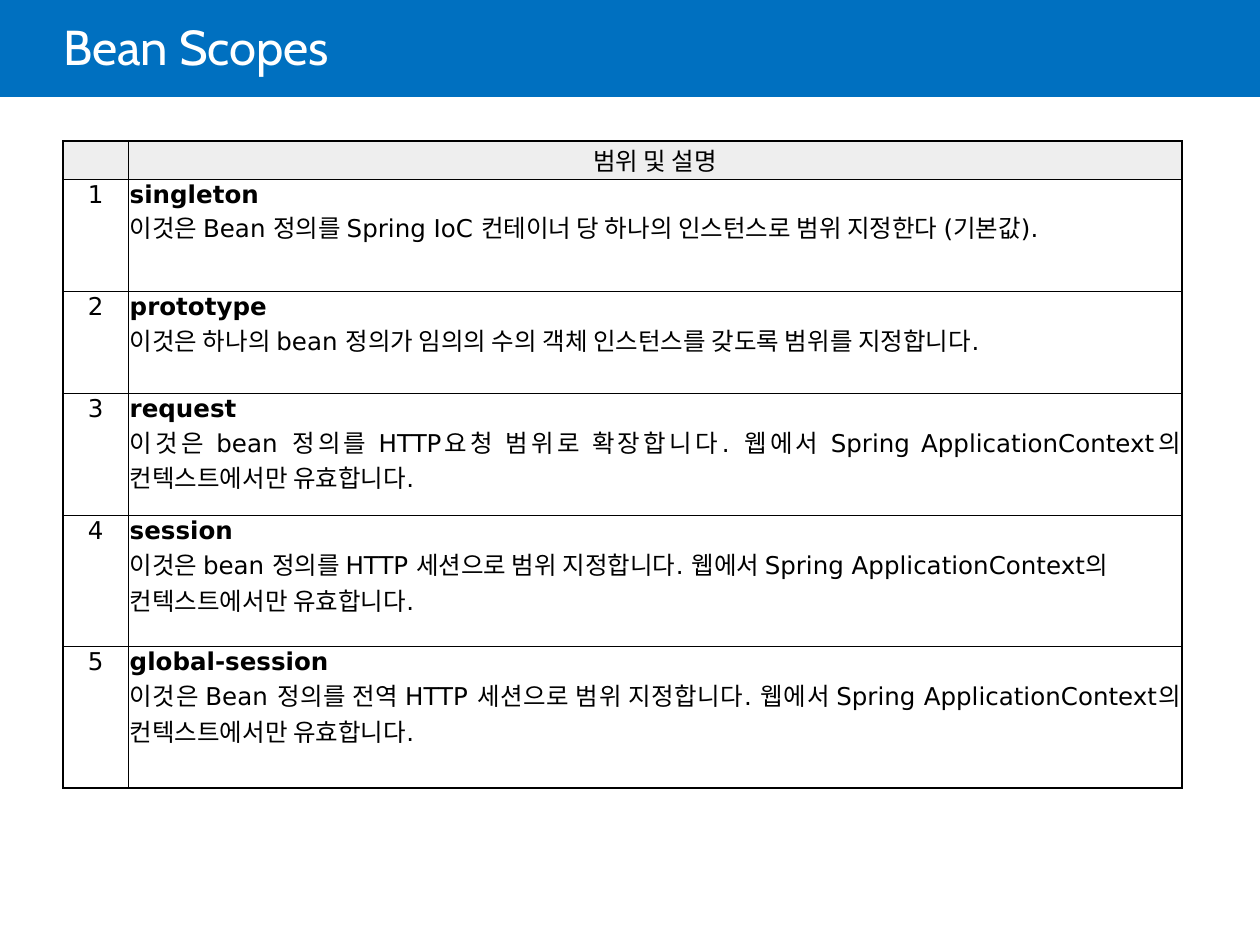
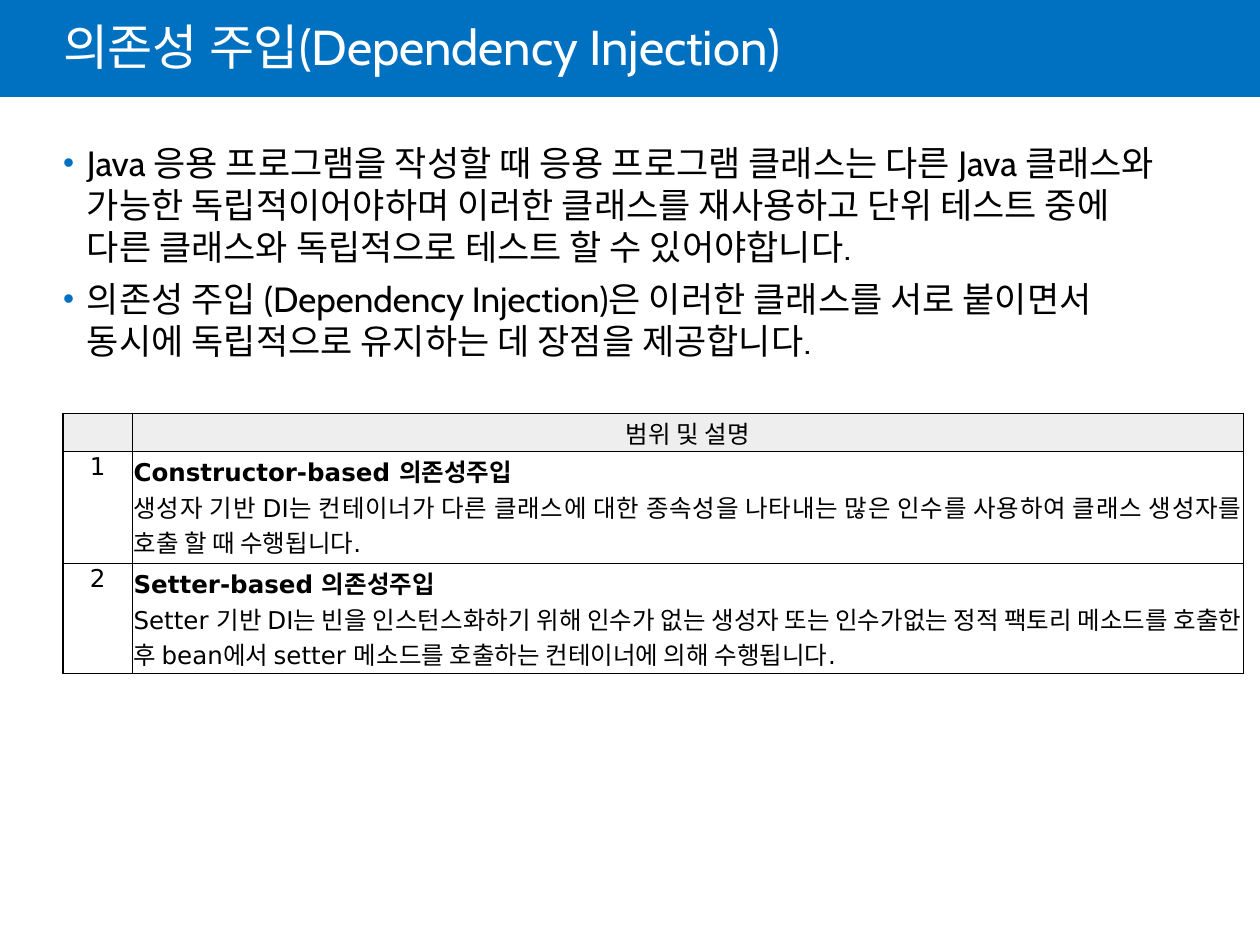
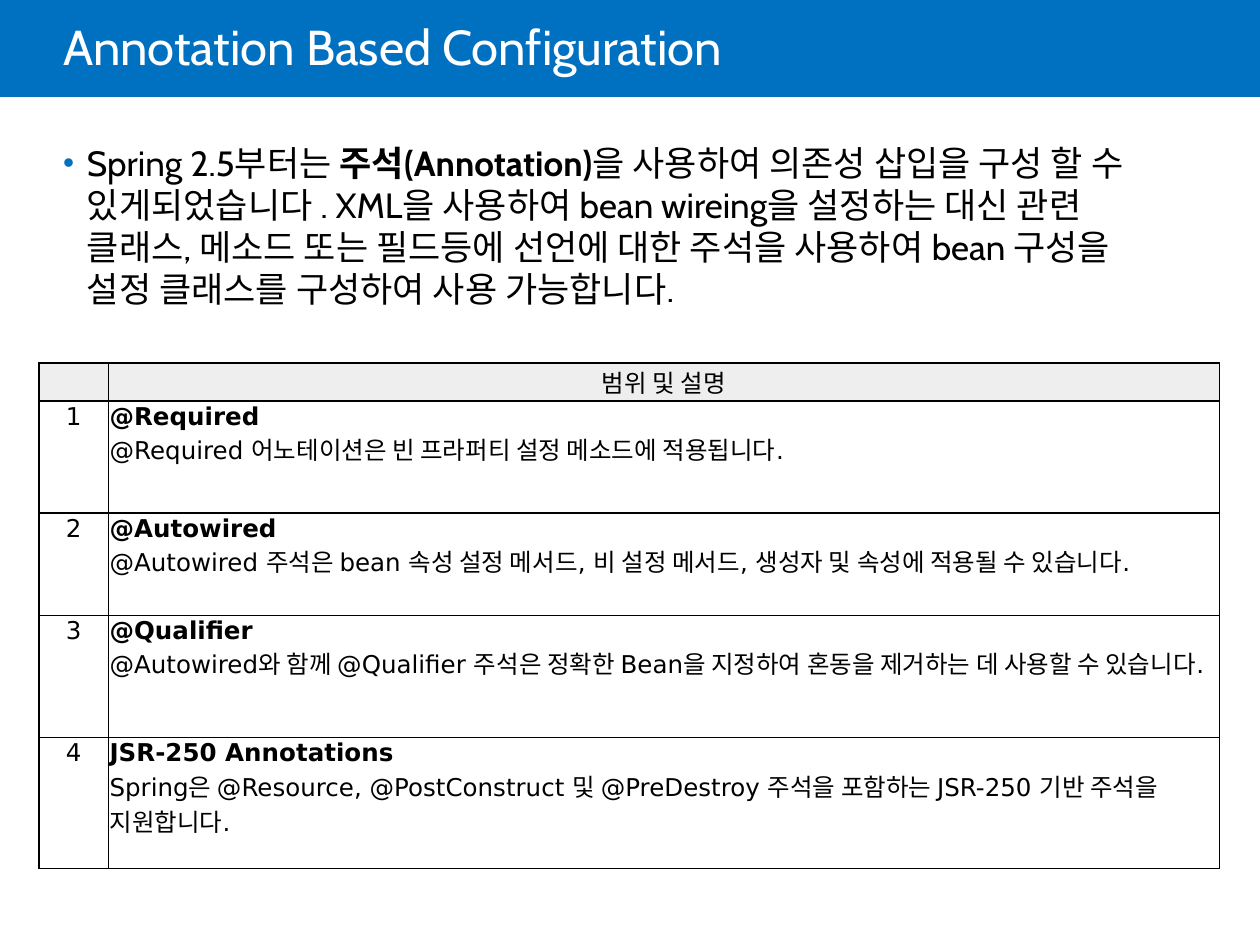
import pptx
import pptx.util
import pptx.dml.color
import pptx.enum.shapes
import pptx.enum.text
import pptx.oxml
import pptx.oxml.ns
from lxml import etree

Inches, Pt = pptx.util.Inches, pptx.util.Pt
RGBColor = pptx.dml.color.RGBColor
ALIGN = pptx.enum.text.PP_ALIGN
ANCHOR = pptx.enum.text.MSO_ANCHOR
qn = pptx.oxml.ns.qn

BLUE = RGBColor(0x00, 0x70, 0xC0)
WHITE = RGBColor(0xFF, 0xFF, 0xFF)
BLACK = RGBColor(0x00, 0x00, 0x00)
HEADER_GRAY = RGBColor(0xEE, 0xEE, 0xEE)
TITLE_FONT, TABLE_FONT = "Cabin", "DejaVu Sans"
HEADER = "범위 및 설명"
HEADER_HEIGHT = 0.3
J, L = ALIGN.JUSTIFY, ALIGN.LEFT

# Each bullet is a list of (text, bold) runs; each row is name, description, alignment, height.
SLIDES = [
    dict(title="Bean Scopes", bullets=[], left=0.5, top=1.12, cols=(0.52, 8.36), rows=[
        ("singleton", "이것은 Bean 정의를 Spring IoC 컨테이너 당 하나의 인스턴스로 범위 지정한다 (기본값).", J, 0.89),
        ("prototype", "이것은 하나의 bean 정의가 임의의 수의 객체 인스턴스를 갖도록 범위를 지정합니다.", J, 0.81),
        ("request", "이것은 bean 정의를 HTTP요청 범위로 확장합니다. 웹에서 Spring ApplicationContext의 "
                    "컨텍스트에서만 유효합니다.", J, 0.97),
        ("session", "이것은 bean 정의를 HTTP 세션으로 범위 지정합니다. 웹에서 Spring ApplicationContext의 "
                    "컨텍스트에서만 유효합니다.", L, 1.04),
        ("global-session", "이것은 Bean 정의를 전역 HTTP 세션으로 범위 지정합니다. 웹에서 Spring "
                           "ApplicationContext의 컨텍스트에서만 유효합니다.", J, 1.12),
    ]),
    dict(title="의존성 주입(Dependency Injection)", bullets=[
        [("Java 응용 프로그램을 작성할 때 응용 프로그램 클래스는 다른 Java 클래스와 가능한 "
          "독립적이어야하며 이러한 클래스를 재사용하고 단위 테스트 중에 다른 클래스와 독립적으로 "
          "테스트 할 수 있어야합니다. ", False)],
        [("의존성 주입 (Dependency Injection)은 이러한 클래스를 서로 붙이면서 동시에 독립적으로 "
          "유지하는 데 장점을 제공합니다.", False)],
    ], left=0.5, top=3.28, cols=(0.55, 8.82), rows=[
        ("Constructor-based 의존성주입", "생성자 기반 DI는 컨테이너가 다른 클래스에 대한 종속성을 나타내는 "
         "많은 인수를 사용하여 클래스 생성자를 호출 할 때 수행됩니다.", J, 0.89),
        ("Setter-based 의존성주입", "Setter 기반 DI는 빈을 인스턴스화하기 위해 인수가 없는 생성자 또는 "
         "인수가없는 정적 팩토리 메소드를 호출한 후 bean에서 setter 메소드를 호출하는 컨테이너에 의해 "
         "수행됩니다.", J, 0.81),
    ]),
    dict(title="Annotation Based Configuration", bullets=[
        [("Spring 2.5부터는 ", False), ("주석(Annotation)", True),
         ("을 사용하여 의존성 삽입을 구성 할 수 있게되었습니다 . XML을 사용하여 bean wireing을 "
          "설정하는 대신 관련 클래스, 메소드 또는 필드등에 선언에 대한 주석을 사용하여 bean 구성을 "
          "설정 클래스를 구성하여 사용 가능합니다.", False)],
    ], left=0.31, top=2.88, cols=(0.55, 8.82), rows=[
        ("@Required", "@Required 어노테이션은 빈 프라퍼티 설정 메소드에 적용됩니다.", J, 0.89),
        ("@Autowired", "@Autowired 주석은 bean 속성 설정 메서드, 비 설정 메서드, 생성자 및 속성에 "
                       "적용될 수 있습니다.", J, 0.81),
        ("@Qualifier", "@Autowired와 함께 @Qualifier 주석은 정확한 Bean을 지정하여 혼동을 제거하는 데 "
                       "사용할 수 있습니다.", J, 0.97),
        ("JSR-250 Annotations", "Spring은 @Resource, @PostConstruct 및 @PreDestroy 주석을 포함하는 "
                                "JSR-250 기반 주석을 지원합니다.", L, 1.04),
    ]),
]


def add_text(p, text, font=TABLE_FONT, size=14, color=BLACK, bold=False, align=L):
    """Add a formatted run, with pair kerning off."""
    p.alignment = align
    r = p.add_run()
    r.text = text
    r.font.name, r.font.size, r.font.bold = font, Pt(size), bold
    r.font.color.rgb = color
    r._r.get_or_add_rPr().set("kern", "0")


def format_cell(cell, fill=None):
    """Set thin margins, the fill and a black 1 pt border on all sides."""
    cell.margin_left = cell.margin_right = cell.margin_top = cell.margin_bottom = Inches(0.01)
    tcPr = cell._tc.get_or_add_tcPr()
    for side in ("a:lnL", "a:lnR", "a:lnT", "a:lnB"):
        ln = etree.SubElement(tcPr, qn(side), w=str(Pt(1)))
        solid = etree.SubElement(ln, qn("a:solidFill"))
        etree.SubElement(solid, qn("a:srgbClr"), val=str(BLACK))
    if fill is None:
        cell.fill.background()
    else:
        cell.fill.solid()
        cell.fill.fore_color.rgb = fill


prs = pptx.Presentation()
prs.slide_width, prs.slide_height = Inches(10), Inches(7.5)

for data in SLIDES:
    s = prs.slides.add_slide(prs.slide_layouts[1 if data["bullets"] else 5])

    band = s.shapes.add_shape(pptx.enum.shapes.MSO_SHAPE.RECTANGLE, 0, 0, prs.slide_width, Inches(0.77))
    band.shadow.inherit = False
    band.fill.solid()
    band.fill.fore_color.rgb = BLUE
    band.line.fill.background()
    s.shapes._spTree.insert(2, band._element)

    title = s.shapes.title
    title.left, title.top, title.width, title.height = Inches(0.5), 0, Inches(8.5), Inches(0.81)
    tf = title.text_frame
    tf.auto_size = pptx.enum.text.MSO_AUTO_SIZE.NONE
    tf.vertical_anchor = ANCHOR.MIDDLE
    tf.margin_left = 0
    tf.paragraphs[0].line_spacing = 0.85
    add_text(tf.paragraphs[0], data["title"], font=TITLE_FONT, size=28, color=WHITE)

    if data["bullets"]:
        body = s.placeholders[1]
        body.left, body.top, body.width, body.height = Inches(0.5), Inches(1.12), Inches(8.88), Inches(5.63)
        tf = body.text_frame
        tf.auto_size = pptx.enum.text.MSO_AUTO_SIZE.NONE
        tf.margin_left = tf.margin_right = tf.margin_top = tf.margin_bottom = 0
        for i, runs in enumerate(data["bullets"]):
            p = tf.add_paragraph() if i else tf.paragraphs[0]
            p.line_spacing, p.space_before = 1.0, Pt(6)
            for text, bold in runs:
                add_text(p, text, font=TITLE_FONT, size=20, bold=bold)
            pPr = p._p.get_or_add_pPr()
            pPr.set("marL", str(Inches(0.19)))
            pPr.set("indent", str(-Inches(0.19)))
            color = etree.SubElement(pPr, qn("a:buClr"))
            etree.SubElement(color, qn("a:srgbClr"), val=str(BLUE))
            etree.SubElement(pPr, qn("a:buSzPct"), val="90000")
            etree.SubElement(pPr, qn("a:buChar"), char="•")

    rows = data["rows"]
    heights = [HEADER_HEIGHT] + [row[3] for row in rows]
    table = s.shapes.add_table(len(heights), 2, Inches(data["left"]), Inches(data["top"]),
                               Inches(sum(data["cols"])), Inches(sum(heights))).table
    table.first_row = table.horz_banding = False
    for column, width in zip(table.columns, data["cols"]):
        column.width = Inches(width)
    for row, height in zip(table.rows, heights):
        row.height = Inches(height)
    for i in range(len(heights)):
        for j in range(2):
            format_cell(table.cell(i, j), None if i else HEADER_GRAY)

    corner = table.cell(0, 0).text_frame.paragraphs[0]
    etree.SubElement(corner._p, qn("a:endParaRPr"), sz="1400")
    add_text(table.cell(0, 1).text_frame.paragraphs[0], HEADER, align=ALIGN.CENTER)
    for i, (name, description, align, _) in enumerate(rows, 1):
        add_text(table.cell(i, 0).text_frame.paragraphs[0], str(i), align=ALIGN.CENTER)
        tf = table.cell(i, 1).text_frame
        add_text(tf.paragraphs[0], name, bold=True, align=J)
        add_text(tf.add_paragraph(), description, align=align)

prs.save("out.pptx")
